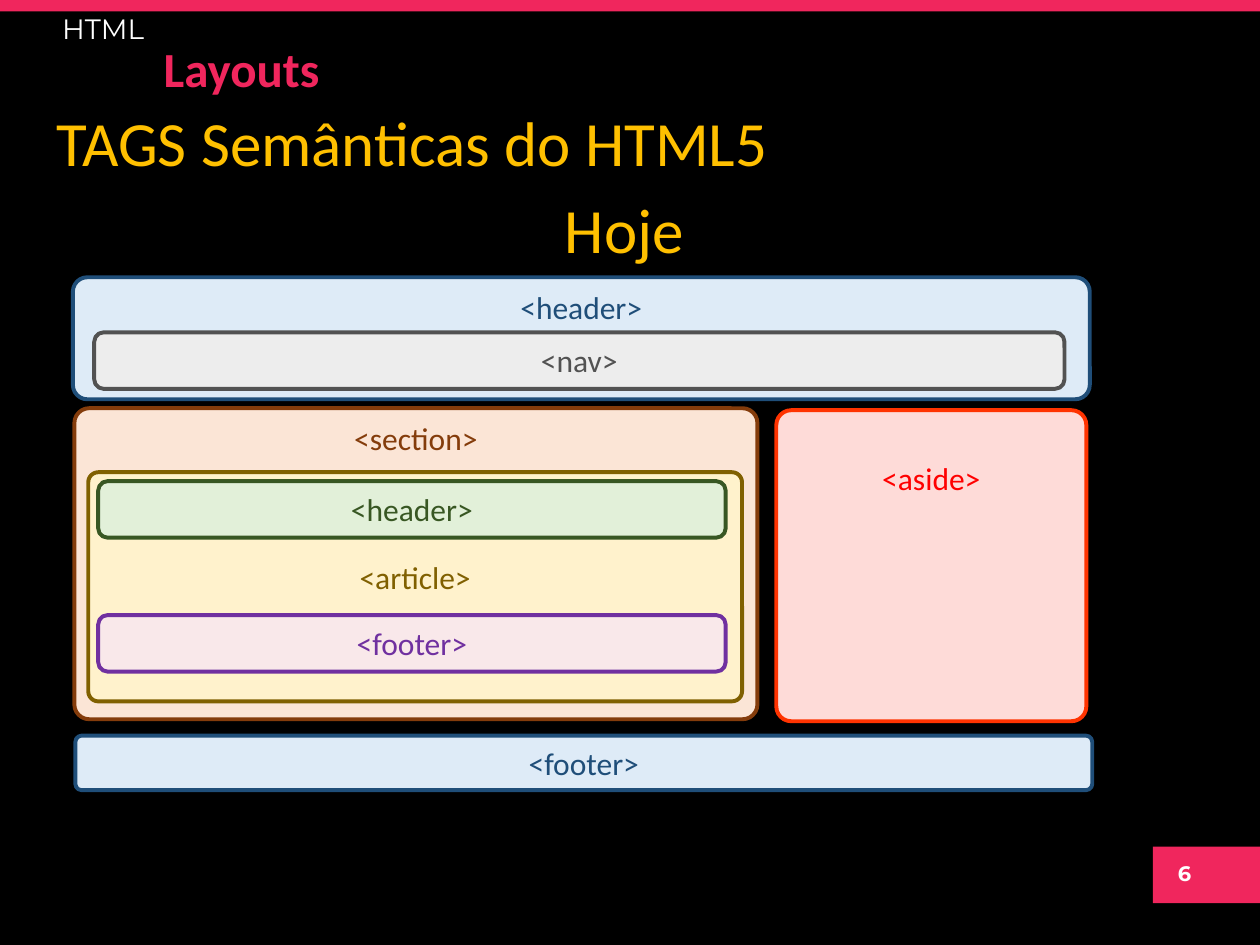
from pptx import Presentation
from pptx.dml.color import RGBColor
from pptx.enum.shapes import MSO_SHAPE
from pptx.enum.text import MSO_ANCHOR, PP_ALIGN
from pptx.util import Cm, Pt

RECT, ROUND = MSO_SHAPE.RECTANGLE, MSO_SHAPE.ROUNDED_RECTANGLE
TOP, MID = MSO_ANCHOR.TOP, MSO_ANCHOR.MIDDLE
LEFT, CENTER = PP_ALIGN.LEFT, PP_ALIGN.CENTER

COLORS = {
    "black": "000000", "white": "FFFFFF", "pink": "F0265D", "gold": "FFC000",
    "blue": "1F4E79", "sky": "DEEBF7", "gray": "525252", "silver": "EDEDED",
    "brown": "843C0B", "peach": "FBE5D6", "olive": "806000", "cream": "FFF2CC",
    "green": "385723", "mint": "E2F0D9", "purple": "7030A0", "rose": "F9E8EA",
    "orange": "FF3300", "blush": "FEDBD8", "red": "FF0000",
}


class Page:
    """Draws styled elements on the current slide."""

    def __init__(self, deck):
        self.slide = deck.slides.add_slide(deck.slide_layouts[6])
        self.paint(self.slide.background.fill, "black")

    def paint(self, fill, color):
        fill.solid()
        fill.fore_color.rgb = RGBColor.from_string(COLORS[color])

    def label(self, frame, lines, color, size, font="Calibri", bold=False,
              align=CENTER, anchor=TOP, wrap=True, inset=0.13):
        style = {"word_wrap": wrap, "vertical_anchor": anchor,
                 "margin_left": Cm(0.25), "margin_right": Cm(0.25),
                 "margin_top": Cm(inset), "margin_bottom": Cm(0.13)}
        for key, value in style.items():
            setattr(frame, key, value)
        for index, line in enumerate(lines):
            para = frame.add_paragraph() if index else frame.paragraphs[0]
            para.alignment = align
            run = para.add_run()
            run.text = line
            for key, value in {"name": font, "size": Pt(size), "bold": bold}.items():
                setattr(run.font, key, value)
            run.font.color.rgb = RGBColor.from_string(COLORS[color])
        return frame.paragraphs

    def text(self, area, lines, color, size, space=1, **style):
        box = self.slide.shapes.add_textbox(*map(Cm, area))
        paras = self.label(box.text_frame, lines, color, size, **style)
        for para in paras:
            para.line_spacing = space
        return paras

    def block(self, area, fill, kind=RECT):
        shape = self.slide.shapes.add_shape(kind, *map(Cm, area))
        shape.shadow.inherit = False
        self.paint(shape.fill, fill)
        shape.line.fill.background()
        return shape

    def tag(self, name, area, fill, edge, ink=None, round=0.167, skip=0):
        shape = self.block(area, fill, ROUND)
        shape.adjustments[0] = round
        self.paint(shape.line.fill, edge)
        shape.line.width = Pt(2.25)
        self.label(shape.text_frame, [f"<{name}>"], ink or edge, 18,
                   inset=0.13 + skip * 0.775)


deck = Presentation()
deck.slide_width, deck.slide_height = Cm(25.4), Cm(19.05)
page = Page(deck)

page.block((0, 0, 25.4, 0.23), "pink")
page.block((23.24, 17.07, 2.16, 1.14), "pink")
page.text((23.27, 17.22, 1.22, 0.76), ["6"], "white", 12,
          font="Montserrat", bold=True, wrap=False)
page.text((0.99, -0.23, 2.18, 1.14), ["HTML"], "white", 16, space=1.5,
          font="Montserrat", wrap=False)
page.text((3.05, 0.89, 18.92, 1.09), ["Layouts"], "pink", 28, space=0.9,
          bold=True, align=LEFT, anchor=MID)
topic, today = page.text((0.89, 2.13, 23.39, 1.55),
                         ["TAGS Semânticas do HTML5", "Hoje"], "gold", 36, space=0.9)
topic.alignment = LEFT
today.space_before = Pt(10.8)

page.tag("header", (1.47, 5.59, 20.5, 2.46), "sky", "blue", round=0.118)
page.tag("nav", (1.9, 6.7, 19.56, 1.14), "silver", "gray")
page.tag("section", (1.5, 8.23, 13.77, 6.27), "peach", "brown", round=0.048)
page.tag("article", (1.78, 9.52, 13.18, 4.62), "cream", "olive", round=0.044, skip=2)
for name, top, fill, edge in (("header", 9.7, "mint", "green"),
                              ("footer", 12.4, "rose", "purple")):
    page.tag(name, (1.98, top, 12.65, 1.14), fill, edge)
page.tag("aside", (15.65, 8.27, 6.25, 6.27), "blush", "orange", "red", 0.048, 1)
page.tag("footer", (1.52, 14.83, 20.5, 1.1), "sky", "blue", round=0.118)

deck.save("out.pptx")
